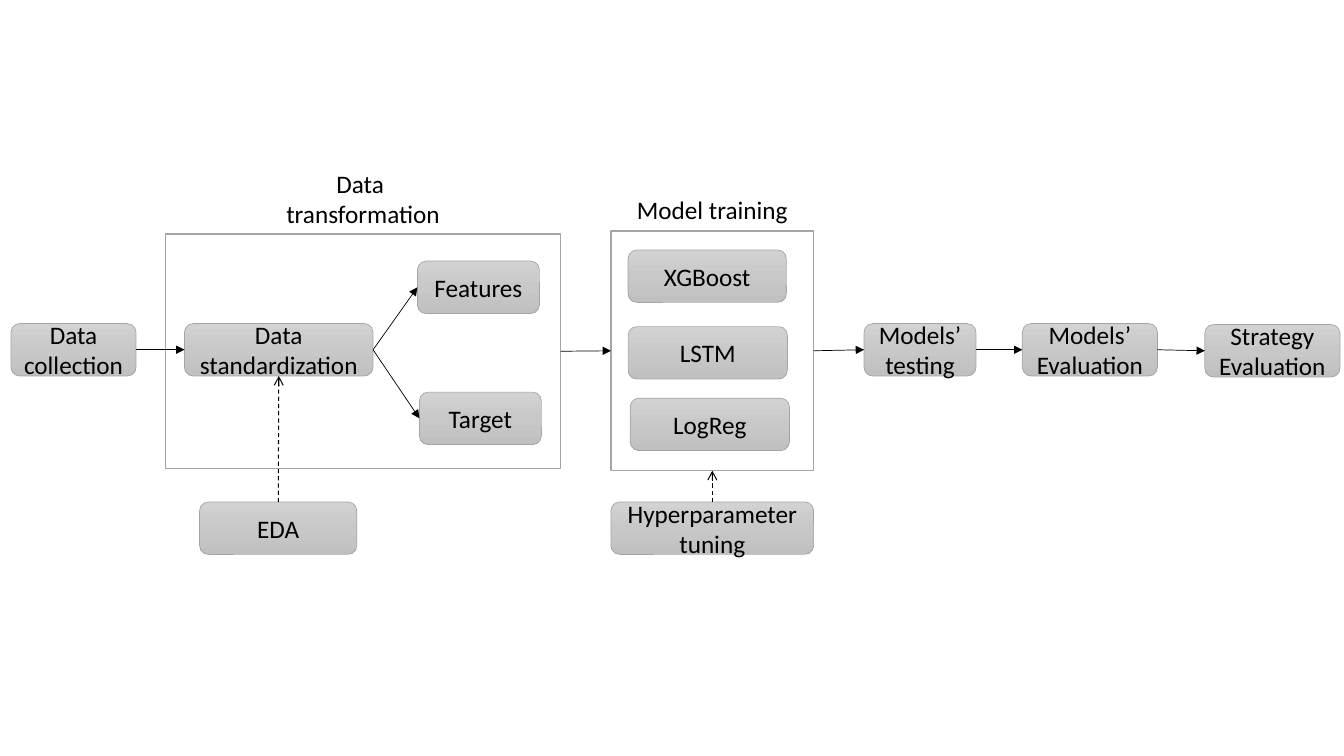
from copy import deepcopy

from lxml import etree
from pptx import Presentation
from pptx.dml.color import RGBColor
from pptx.enum.dml import MSO_LINE
from pptx.enum.shapes import MSO_CONNECTOR, MSO_SHAPE
from pptx.enum.text import MSO_ANCHOR, MSO_AUTO_SIZE, PP_ALIGN
from pptx.oxml.ns import qn
from pptx.util import Inches, Pt

BLACK = RGBColor(0x00, 0x00, 0x00)
WHITE = RGBColor(0xFF, 0xFF, 0xFF)
BORDER = RGBColor(0xA5, 0xA5, 0xA5)
GRADIENT = (
    (0, RGBColor(0xD2, 0xD2, 0xD2)),
    (0.5, RGBColor(0xC8, 0xC8, 0xC8)),
    (1, RGBColor(0xC0, 0xC0, 0xC0)),
)
RECTANGLE = MSO_SHAPE.RECTANGLE
ROUNDED = MSO_SHAPE.ROUNDED_RECTANGLE
STRAIGHT = MSO_CONNECTOR.STRAIGHT
DASH = MSO_LINE.DASH
MIDDLE = MSO_ANCHOR.MIDDLE
CENTER = PP_ALIGN.CENTER
GROW = MSO_AUTO_SIZE.SHAPE_TO_FIT_TEXT
TOP, LEFT, BOTTOM, RIGHT = range(4)
BOX_HEIGHT = 0.52


class Flowchart:
    font_name = "Calibri"
    font_size = Pt(18)

    def __init__(self, slide):
        self.slide = slide

    def add_lines(self, text_frame, lines):
        text_frame.word_wrap = True
        for index, line in enumerate(lines):
            paragraph = text_frame.paragraphs[0] if index == 0 else text_frame.add_paragraph()
            paragraph.alignment = CENTER
            run = paragraph.add_run()
            run.text = line
            run.font.name = self.font_name
            run.font.size = self.font_size
            run.font.color.rgb = BLACK

    def outline(self, kind, left, top, width, height, weight):
        shape = self.slide.shapes.add_shape(
            kind, Inches(left), Inches(top), Inches(width), Inches(height)
        )
        shape.shadow.inherit = False
        shape.line.color.rgb = BORDER
        shape.line.width = Pt(weight)
        return shape

    def frame(self, left, top, width, height):
        shape = self.outline(RECTANGLE, left, top, width, height, 1)
        shape.fill.solid()
        shape.fill.fore_color.rgb = WHITE
        return shape

    def box(self, left, top, width, *lines):
        shape = self.outline(ROUNDED, left, top, width, BOX_HEIGHT, 0.5)
        shape.fill.gradient()
        shape.fill.gradient_angle = 270
        stop_list = shape.element.spPr.find(".//" + qn("a:gsLst"))
        stop_list.append(deepcopy(stop_list[-1]))
        for stop, (position, color) in zip(shape.fill.gradient_stops, GRADIENT):
            stop.position = position
            stop.color.rgb = color
        shape.text_frame.vertical_anchor = MIDDLE
        self.add_lines(shape.text_frame, lines)
        return shape

    def label(self, left, top, width, height, *lines):
        shape = self.slide.shapes.add_textbox(
            Inches(left), Inches(top), Inches(width), Inches(height)
        )
        self.add_lines(shape.text_frame, lines)
        shape.text_frame.auto_size = GROW

    def arrow(self, source, source_side, target, target_side, dashed=False):
        connector = self.slide.shapes.add_connector(STRAIGHT, 0, 0, 0, 0)
        connector.begin_connect(source, source_side)
        connector.end_connect(target, target_side)
        connector.line.color.rgb = BLACK
        connector.line.width = Pt(0.75 if dashed else 0.5)
        if dashed:
            connector.line.dash_style = DASH
        properties = connector.element.spPr
        tail = etree.SubElement(properties.find(qn("a:ln")), qn("a:tailEnd"))
        tail.set("type", "arrow" if dashed else "triangle")
        etree.SubElement(properties, qn("a:effectLst"))


def main():
    presentation = Presentation()
    presentation.slide_width = Inches(13.33)
    presentation.slide_height = Inches(7.5)
    chart = Flowchart(presentation.slides.add_slide(presentation.slide_layouts[6]))

    training = chart.frame(6.06, 2.29, 2.01, 2.38)
    transformation = chart.frame(1.64, 2.32, 3.92, 2.33)
    chart.label(1.64, 1.62, 3.92, 0.71, "Data ", "transformation")
    chart.label(6.06, 1.88, 2.01, 0.4, "Model training")

    collection = chart.box(0.11, 3.21, 1.24, "Data collection")
    standardization = chart.box(1.83, 3.21, 1.87, "Data standardization")
    features = chart.box(4.14, 2.59, 1.21, "Features")
    target = chart.box(4.16, 3.89, 1.21, "Target")
    exploration = chart.box(1.98, 4.98, 1.56, "EDA")

    chart.box(6.23, 2.48, 1.57, "XGBoost")
    chart.box(6.23, 3.24, 1.58, "LSTM")
    chart.box(6.25, 3.95, 1.58, "LogReg")
    tuning = chart.box(6.06, 4.98, 2.01, "Hyperparameter tuning")

    testing = chart.box(8.57, 3.21, 1.11, "Models’ ", "testing")
    evaluation = chart.box(10.14, 3.21, 1.34, "Models’ Evaluation")
    strategy = chart.box(11.95, 3.22, 1.34, "Strategy Evaluation")

    for source, destination in (
        (collection, standardization),
        (standardization, features),
        (standardization, target),
        (transformation, training),
        (training, testing),
        (testing, evaluation),
        (evaluation, strategy),
    ):
        chart.arrow(source, RIGHT, destination, LEFT)
    for source, destination in ((exploration, standardization), (tuning, training)):
        chart.arrow(source, TOP, destination, BOTTOM, dashed=True)

    presentation.save("out.pptx")


if __name__ == "__main__":
    main()
